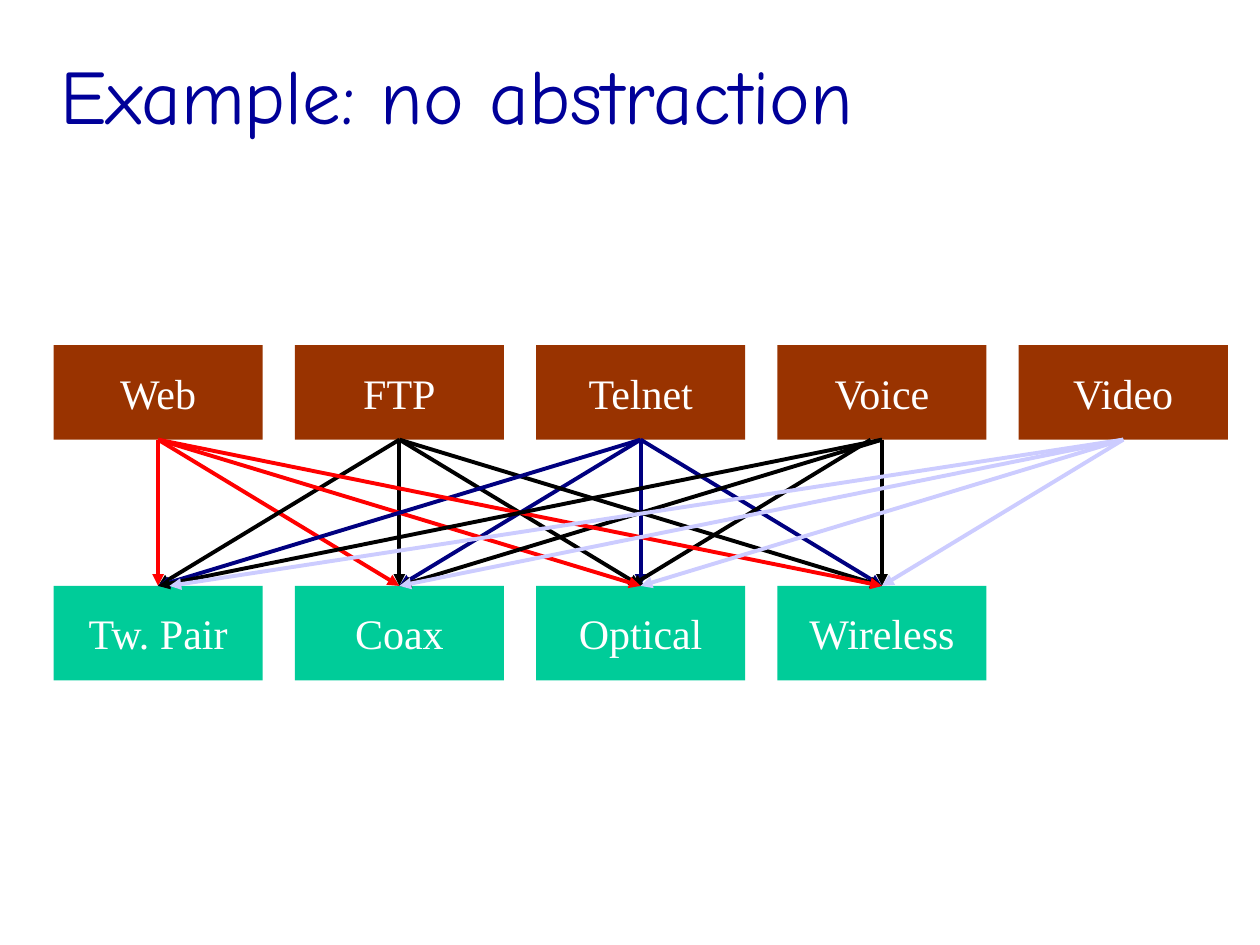
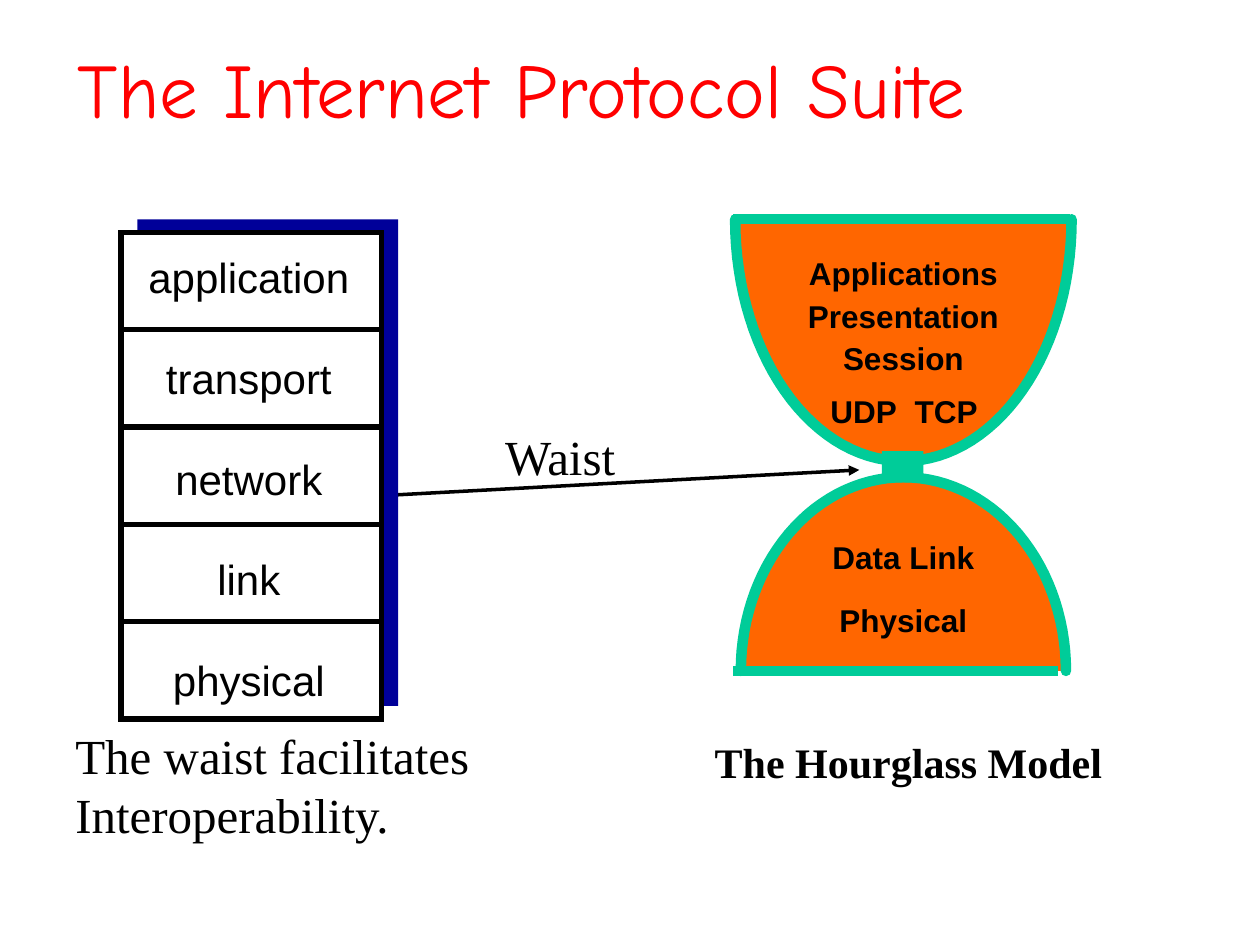
from dataclasses import dataclass
from math import cos, pi, sin

from lxml.etree import SubElement
from pptx import Presentation
from pptx.dml.color import RGBColor
from pptx.enum.shapes import MSO_CONNECTOR, MSO_SHAPE
from pptx.enum.text import MSO_ANCHOR, PP_ALIGN
from pptx.oxml.ns import qn
from pptx.shapes.autoshape import Shape
from pptx.shapes.connector import Connector
from pptx.slide import Slide
from pptx.util import Inches, Pt

SLIDE_WIDTH, SLIDE_HEIGHT = Inches(10), Inches(7.5)
BLACK, WHITE, RED = "000000", "FFFFFF", "FF0000"
NAVY, DARK_NAVY, LAVENDER = "000099", "000080", "CCCCFF"
BROWN, GREEN, ORANGE = "993300", "00CC99", "FF6600"
BOTTOM, TOP = 2, 0


@dataclass(frozen=True)
class Area:
    """A place on the slide, in percent of its width and height."""
    left: float
    top: float
    width: float
    height: float

    def emu(self) -> tuple[int, int, int, int]:
        return (across(self.left), down(self.top),
                across(self.width), down(self.height))


@dataclass(frozen=True)
class Style:
    font: str
    size: float
    color: str = BLACK
    bold: bool = False
    align: PP_ALIGN = PP_ALIGN.LEFT


@dataclass(frozen=True)
class Application:
    name: str
    link_color: str


@dataclass(frozen=True)
class Link:
    """An arrow from an application to a medium; shifts move its ends sideways."""
    application: int
    medium: int
    start_shift: float = 0
    end_shift: float = 0


@dataclass(frozen=True)
class LayerLabel:
    text: str
    center: float
    top: float


BOX_TEXT = Style("Times New Roman", 24, WHITE, align=PP_ALIGN.CENTER)
CAPTION = Style("Times New Roman", 24, bold=True, align=PP_ALIGN.CENTER)
NOTE = Style("Times New Roman", 28)
STACK_TEXT = Style("Arial", 24, align=PP_ALIGN.CENTER)
LAYER_TEXT = Style("Arial", 18, bold=True, align=PP_ALIGN.CENTER)

APPLICATIONS = [
    Application("Web", RED),
    Application("FTP", BLACK),
    Application("Telnet", DARK_NAVY),
    Application("Voice", BLACK),
    Application("Video", LAVENDER),
]
MEDIA = ["Tw. Pair", "Coax", "Optical", "Wireless"]
LINKS = [  # from back to front
    Link(0, 0), Link(0, 1), Link(3, 3), Link(1, 0), Link(2, 2), Link(2, 3),
    Link(1, 1), Link(1, 2), Link(3, 2, -0.9, -0.8), Link(2, 1), Link(0, 2),
    Link(1, 3), Link(3, 1), Link(2, 0), Link(0, 3), Link(3, 0),
    Link(4, 0, 0, 0.9), Link(4, 3), Link(4, 2), Link(4, 1),
]

PROTOCOL_LAYERS = ["application", "transport", "network", "link", "physical"]
GLASS_CENTER = 71.7
GLASS_LABELS = [
    LayerLabel("UDP", 68.55, 40.8),
    LayerLabel("TCP", 75.1, 40.8),
    LayerLabel("Data Link", GLASS_CENTER, 56.27),
    LayerLabel("Physical", GLASS_CENTER, 62.93),
    LayerLabel("Applications", GLASS_CENTER, 26.27),
    LayerLabel("Presentation", GLASS_CENTER, 30.8),
    LayerLabel("Session", GLASS_CENTER, 35.2),
]


def across(percent: float) -> int:
    return round(SLIDE_WIDTH * percent / 100)


def down(percent: float) -> int:
    return round(SLIDE_HEIGHT * percent / 100)


def rgb(color: str) -> RGBColor:
    return RGBColor.from_string(color)


def write(shape: Shape, lines: list[str], style: Style, anchor: MSO_ANCHOR,
          wrap: bool, gap: float = 0) -> None:
    """Put one paragraph per line into the shape, with gap points between."""
    frame = shape.text_frame
    frame.word_wrap = wrap
    frame.vertical_anchor = anchor
    frame.text = "\n".join(lines)
    for index, paragraph in enumerate(frame.paragraphs):
        paragraph.alignment = style.align
        if index and gap:
            paragraph.space_before = Pt(gap)
        paragraph.font.name = style.font
        paragraph.font.size = Pt(style.size)
        paragraph.font.bold = style.bold
        paragraph.font.color.rgb = rgb(style.color)


def add_text(slide: Slide, area: Area, lines: list[str], style: Style,
             anchor: MSO_ANCHOR = MSO_ANCHOR.TOP, wrap: bool = False,
             gap: float = 0) -> None:
    write(slide.shapes.add_textbox(*area.emu()), lines, style, anchor, wrap, gap)


def add_title(slide: Slide, area: Area, text: str, color: str) -> None:
    add_text(slide, area, [text], Style("Comic Neue", 44, color),
             MSO_ANCHOR.MIDDLE, wrap=True)


def paint(shape: Shape, fill: str, line: str = "", weight: float = 0) -> None:
    shape.shadow.inherit = False
    shape.fill.solid()
    shape.fill.fore_color.rgb = rgb(fill)
    if line:
        shape.line.color.rgb = rgb(line)
        shape.line.width = Pt(weight)
    else:
        shape.line.fill.background()


def add_box(slide: Slide, area: Area, fill: str, line: str = "",
            weight: float = 0) -> Shape:
    box = slide.shapes.add_shape(MSO_SHAPE.RECTANGLE, *area.emu())
    paint(box, fill, line, weight)
    if line:
        SubElement(box.element.spPr.find(qn("a:ln")), qn("a:miter"), lim="800000")
    return box


def add_line(slide: Slide, start: tuple[float, float], end: tuple[float, float],
             color: str, weight: float, arrow: bool = False) -> Connector:
    line = slide.shapes.add_connector(
        MSO_CONNECTOR.STRAIGHT, across(start[0]), down(start[1]),
        across(end[0]), down(end[1]))
    line.line.color.rgb = rgb(color)
    line.line.width = Pt(weight)
    properties = line.element.spPr
    if arrow:
        SubElement(properties.find(qn("a:ln")), qn("a:tailEnd"), type="triangle")
    SubElement(properties, qn("a:effectLst"))
    return line


def add_half_ellipse(slide: Slide, center: float, base: float,
                     radius_x: float, radius_y: float) -> None:
    """Draw a bulb outlined on its arc only; a negative radius_y points it up."""
    steps = 60
    points = [(across(center + radius_x * cos(pi * step / steps)),
               down(base + radius_y * sin(pi * step / steps)))
              for step in range(steps + 1)]
    builder = slide.shapes.build_freeform(*points[0])
    builder.add_line_segments(points[1:], close=False)
    bulb = builder.convert_to_shape()
    paint(bulb, ORANGE, GREEN, 6)
    bulb.element.spPr.find(qn("a:ln")).set("cap", "rnd")


def add_box_row(slide: Slide, names: list[str], top: float, fill: str) -> list[Shape]:
    left, column, width, height = 4.25, 19.15, 16.6, 10
    boxes = []
    for index, name in enumerate(names):
        box = add_box(slide, Area(left + index * column, top, width, height), fill)
        write(box, [name], BOX_TEXT, MSO_ANCHOR.MIDDLE, wrap=False)
        boxes.append(box)
    return boxes


def build_no_abstraction(slide: Slide) -> None:
    add_title(slide, Area(3.8, 1.6, 85, 16.67), "Example: no abstraction", NAVY)
    applications = add_box_row(slide, [app.name for app in APPLICATIONS], 36.53, BROWN)
    media = add_box_row(slide, MEDIA, 62, GREEN)
    for link in LINKS:
        arrow = add_line(slide, (0, 0), (0, 0),
                         APPLICATIONS[link.application].link_color, 2.25, arrow=True)
        source, target = applications[link.application], media[link.medium]
        if link.start_shift:
            arrow.begin_x = source.left + source.width // 2 + across(link.start_shift)
            arrow.begin_y = source.top + source.height
        else:
            arrow.begin_connect(source, BOTTOM)
        if link.end_shift:
            arrow.end_x = target.left + target.width // 2 + across(link.end_shift)
            arrow.end_y = target.top
        else:
            arrow.end_connect(target, TOP)


def add_hourglass(slide: Slide) -> None:
    rim, foot = 23.2, 71
    add_half_ellipse(slide, GLASS_CENTER, foot, 12.9, -20.5)
    add_half_ellipse(slide, GLASS_CENTER, rim, 13.35, 25.6)
    add_line(slide, (58.2, rim), (84.9, rim), GREEN, 6)
    add_line(slide, (58.2, foot), (84, foot), GREEN, 6)
    add_box(slide, Area(70, 47.73, 3.3, 3.33), GREEN)
    width, height = 20, 5.33
    for label in GLASS_LABELS:
        add_text(slide, Area(label.center - width / 2, label.top, width, height),
                 [label.text], LAYER_TEXT)


def add_protocol_stack(slide: Slide) -> None:
    left, top, width, row = 9.6, 24.6, 20.7, 10.3
    height = row * len(PROTOCOL_LAYERS)
    add_box(slide, Area(left + 1.3, top - 1.4, width, height), NAVY)
    add_box(slide, Area(left, top, width, height), WHITE, BLACK, 3)
    add_text(slide, Area(9.4, 26, width, 49.33), PROTOCOL_LAYERS, STACK_TEXT, gap=28.7)
    for index in range(1, len(PROTOCOL_LAYERS)):
        divider = top + index * row
        add_line(slide, (left, divider), (left + width, divider), BLACK, 3)


def build_protocol_suite(slide: Slide) -> None:
    add_title(slide, Area(5.2, 0.93, 88.6, 16.67), "The Internet Protocol Suite", RED)
    add_line(slide, (31, 52.4), (68.2, 49.73), BLACK, 2, arrow=True)
    add_hourglass(slide)
    add_text(slide, Area(54.1, 77.33, 36, 6.67), ["The Hourglass Model"], CAPTION)
    add_text(slide, Area(39.1, 44.53, 17.5, 7.6), ["Waist"], NOTE, wrap=True)
    add_text(slide, Area(5, 76.13, 38.1, 13.73),
             ["The waist facilitates Interoperability."], NOTE, wrap=True)
    add_protocol_stack(slide)


def main() -> None:
    deck = Presentation()
    deck.slide_width, deck.slide_height = SLIDE_WIDTH, SLIDE_HEIGHT
    blank = deck.slide_layouts[6]
    for build in (build_no_abstraction, build_protocol_suite):
        build(deck.slides.add_slide(blank))
    deck.save("out.pptx")


if __name__ == "__main__":
    main()
